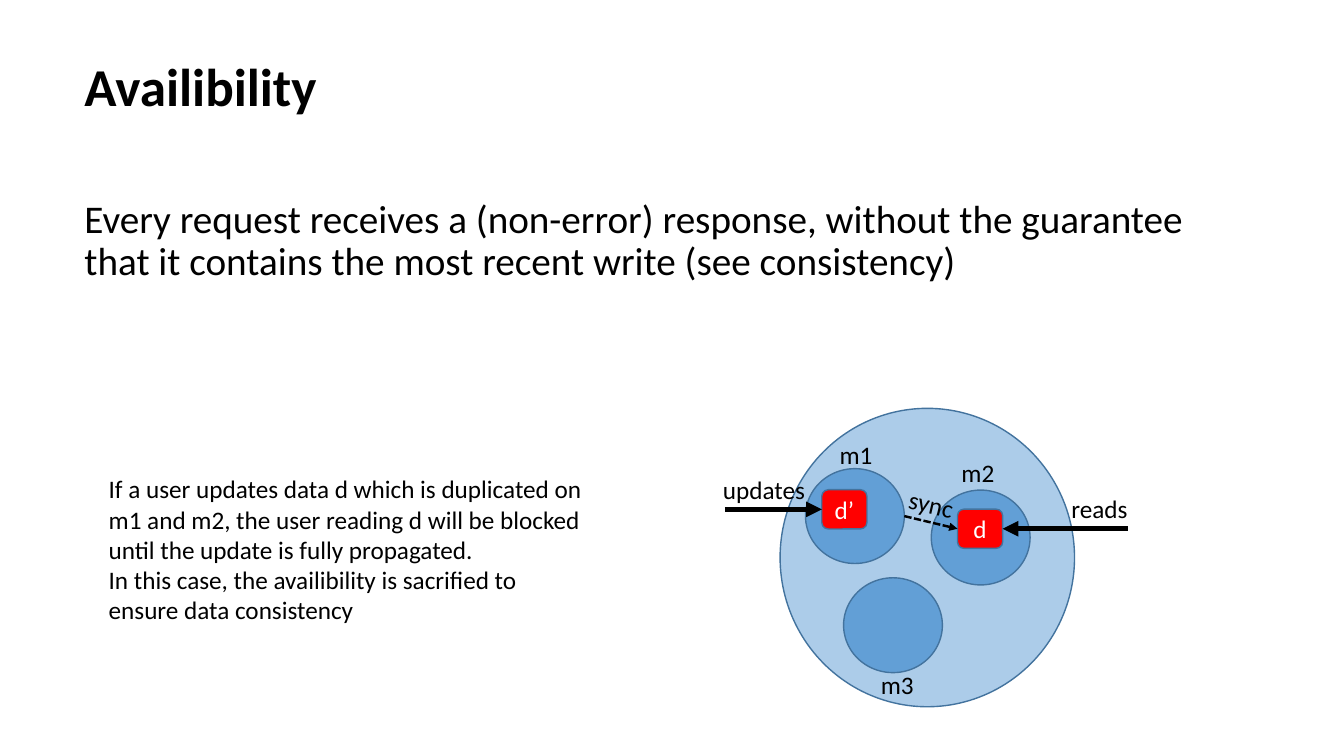
from lxml.etree import SubElement
from pptx import Presentation
from pptx.dml.color import RGBColor
from pptx.enum.dml import MSO_LINE_DASH_STYLE as Dash
from pptx.enum.shapes import MSO_CONNECTOR as Link, MSO_SHAPE as Shape
from pptx.enum.text import MSO_ANCHOR as Anchor, PP_ALIGN as Align
from pptx.oxml.ns import qn
from pptx.util import Cm, Pt

FONT = "Calibri"
COLORS = {
    "ink": "000000",
    "paper": "FFFFFF",
    "machine": "5B9BD5",
    "outline": "43739E",
    "data": "FF0000",
}


def color(name):
    return RGBColor.from_string(COLORS[name])


def write(frame, text, size=18, ink="ink", bold=False, align=Align.LEFT,
          anchor=Anchor.TOP, wrap=True, spacing=None):
    """Fill a text frame with one paragraph; each newline is a line break."""
    frame.word_wrap = wrap
    frame.vertical_anchor = anchor
    para = frame.paragraphs[0]
    para.alignment = align
    para.line_spacing = spacing
    for index, line in enumerate(text.split("\n")):
        if index:
            para.add_line_break()
        span = para.add_run()
        span.text = line
        span.font.name = FONT
        span.font.size = Pt(size)
        span.font.bold = bold
        span.font.color.rgb = color(ink)


def add_text(page, text, left, top, width, height=1.02, turn=0, **style):
    box = page.shapes.add_textbox(Cm(left), Cm(top), Cm(width), Cm(height))
    box.rotation = turn
    write(box.text_frame, text, **style)


def add_figure(page, kind, fill, left, top, width, height, opacity=100):
    figure = page.shapes.add_shape(kind, Cm(left), Cm(top), Cm(width), Cm(height))
    figure.shadow.inherit = False
    figure.fill.solid()
    figure.fill.fore_color.rgb = color(fill)
    if opacity < 100:
        tint = figure.fill._xPr.find(qn("a:solidFill"))[0]
        SubElement(tint, qn("a:alpha"), val=str(opacity * 1000))
    figure.line.color.rgb = color("outline")
    figure.line.width = Pt(1)
    return figure


def add_arrow(page, left, top, target, side, width=3.75, dash=None):
    """Draw an arrow from a point to the middle of a side of the target."""
    arrow = page.shapes.add_connector(Link.STRAIGHT, Cm(left), Cm(top), Cm(left), Cm(top))
    arrow.end_connect(target, side)
    arrow.line.color.rgb = color("ink")
    arrow.line.width = Pt(width)
    if dash:
        arrow.line.dash_style = dash
    SubElement(arrow.line._get_or_add_ln(), qn("a:tailEnd"), type="triangle")
    SubElement(arrow._element.spPr, qn("a:effectLst"))


def add_data(page, text, left, top, width, height):
    data = add_figure(page, Shape.ROUNDED_RECTANGLE, "data", left, top, width, height)
    write(data.text_frame, text, ink="paper", align=Align.CENTER, anchor=Anchor.MIDDLE)
    return data


def add_cluster(page, left, top, width, height):
    """Draw three machines in a cluster, with the traffic around the data."""
    machine_width, machine_height = 2.49, 2.39
    data_width, data_height = 1.14, 0.99
    add_figure(page, Shape.OVAL, "machine", left, top, width, height, opacity=50)

    # Machine: offset in the cluster, then label offset from the machine
    machines = {
        "m1": (0.64, 1.52, 0.61, -0.86),
        "m2": (3.81, 2.06, 0.51, -0.94),
        "m3": (1.6, 4.27, 0.69, 2.18),
    }
    for name, (x, y, label_x, label_y) in machines.items():
        add_figure(page, Shape.OVAL, "machine", left + x, top + y,
                   machine_width, machine_height, opacity=90)
        add_text(page, name, left + x + label_x, top + y + label_y, 2.41)

    new_left, new_top = left + 1.05, top + 2.05
    old_left, old_top = left + 4.47, top + 2.54
    new_data = add_data(page, "d’", new_left, new_top, data_width, data_height)
    old_data = add_data(page, "d", old_left, old_top, data_width, data_height)

    add_arrow(page, new_left - 2.44, new_top + data_height / 2, new_data, 1)
    add_text(page, "updates", new_left - 2.74, new_top - 0.51, 2.62, wrap=False)
    add_arrow(page, old_left + data_width + 3.15, old_top + data_height / 2, old_data, 3)
    add_text(page, "reads", old_left + 2.62, old_top - 0.53, 1.93, wrap=False)

    first_x, first_y = machines["m1"][:2]
    add_arrow(page, left + first_x + machine_width, top + first_y + machine_height / 2,
              old_data, 1, width=1.75, dash=Dash.SQUARE_DOT)
    add_text(page, "sync", left + 3, top + 1.9, 1.65, turn=12.8, wrap=False)


def main():
    deck = Presentation()
    deck.slide_width, deck.slide_height = Cm(33.87), Cm(19.05)
    page = deck.slides.add_slide(deck.slide_layouts[6])
    add_text(page, "Availibility", 1.88, 0.79, 13.23, 2.72,
             size=38, bold=True, anchor=Anchor.MIDDLE)
    add_text(page, "Every request receives a (non-error) response, without the guarantee "
             "that it contains the most recent write (see consistency)",
             1.88, 4.9, 29.21, 12.09, size=28, spacing=0.9)
    add_text(page, "If a user updates data d which is duplicated on m1 and m2, the user "
             "reading d will be blocked until the update is fully propagated.\n"
             "In this case, the availibility is sacrified to ensure data consistency",
             2.49, 11.81, 12.67, 4.11)
    add_cluster(page, 19.66, 10.29, 7.42, 7.52)
    deck.save("out.pptx")


if __name__ == "__main__":
    main()
